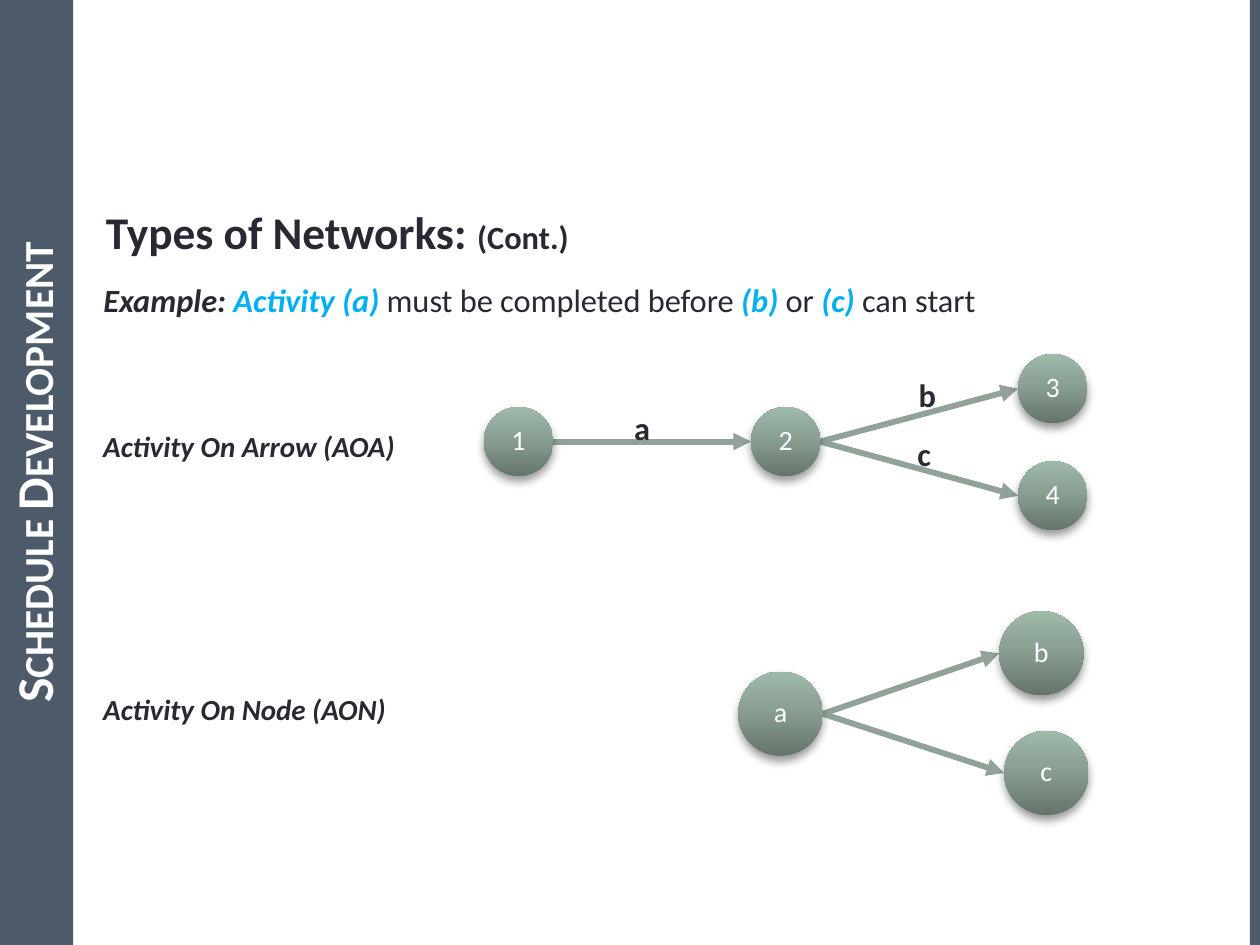
from typing import NamedTuple

from lxml.etree import SubElement
from pptx import Presentation
from pptx.dml.color import RGBColor
from pptx.enum.shapes import MSO_CONNECTOR as Connector, MSO_SHAPE as Shape
from pptx.enum.text import MSO_ANCHOR as Anchor, MSO_AUTO_SIZE as AutoSize, PP_ALIGN as Align
from pptx.oxml import parse_xml
from pptx.oxml.ns import nsdecls, qn
from pptx.util import Inches, Pt

FONT = "Calibri"
INK, WHITE, BAR, ACCENT, ARROW = "292934", "FFFFFF", "4C5A6A", "00B0F0", "93A299"
NODE_STOPS = [(0, "65756C"), (60, "8CA295"), (100, "9EBAA9")]


class Node(NamedTuple):
    label: str
    left: float
    top: float


class Network(NamedTuple):
    diameter: float
    nodes: list[Node]
    links: list[tuple[int, int]]


class Run(NamedTuple):
    text: str
    size: float
    color: str = INK
    bold: bool = True
    italic: bool = False


class TextBox(NamedTuple):
    left: float
    top: float
    width: float
    height: float
    runs: list[Run]
    wrap: bool = True


def row_label(top: float, text: str) -> TextBox:
    return TextBox(0.71, top, 3.37, 0.39, [Run(text, 16.6, italic=True)])


def arrow_label(left: float, top: float, text: str) -> TextBox:
    return TextBox(left, top, 0.35, 0.42, [Run(text, 18.5)], wrap=False)


NETWORKS = [
    Network(0.55,
            [Node("1", 3.84, 3.23), Node("2", 5.96, 3.23),
             Node("3", 8.08, 2.81), Node("4", 8.08, 3.66)],
            [(0, 1), (1, 2), (1, 3)]),
    Network(0.67,
            [Node("a", 5.86, 5.33), Node("b", 7.93, 4.85), Node("c", 7.97, 5.8)],
            [(0, 1), (0, 2)]),
]
TEXT_BOXES = [
    TextBox(0.73, 1.57, 9.11, 0.6,
            [Run("Types of Networks: ", 25.9), Run("(Cont.)", 18.5)]),
    TextBox(0.71, 2.17, 8.18, 0.42, [
        Run("Example: ", 18.5, italic=True),
        Run("Activity (a) ", 18.5, ACCENT, italic=True),
        Run("must be completed before", 18.5, bold=False),
        Run(" (b) ", 18.5, ACCENT, italic=True),
        Run("or ", 18.5, bold=False),
        Run("(c) ", 18.5, ACCENT, italic=True),
        Run("can start", 18.5, bold=False),
    ]),
    row_label(3.35, "Activity On Arrow (AOA)"),
    row_label(5.44, "Activity On Node (AON)"),
    arrow_label(4.92, 3.19, "a"),
    arrow_label(7.18, 2.93, "b"),
    arrow_label(7.16, 3.4, "c"),
]


def rgb(color: str) -> RGBColor:
    return RGBColor.from_string(color)


def style_font(font, size: float, color: str, bold: bool = False, italic: bool = False) -> None:
    font.name, font.size = FONT, Pt(size)
    font.bold, font.italic = bold, italic
    font.color.rgb = rgb(color)


def add_bar(slide, left: float, width: float) -> None:
    bar = slide.shapes.add_shape(Shape.RECTANGLE, Inches(left), 0, Inches(width), Inches(7.5))
    bar.shadow.inherit = False
    bar.fill.solid()
    bar.fill.fore_color.rgb = rgb(BAR)
    bar.line.fill.background()


def add_node(slide, node: Node, diameter: float) -> None:
    shape = slide.shapes.add_shape(Shape.OVAL, Inches(node.left), Inches(node.top),
                                   Inches(diameter), Inches(diameter))
    shape.line.fill.background()
    stops = "".join(f'<a:gs pos="{position * 1000}"><a:srgbClr val="{color}"/></a:gs>'
                    for position, color in NODE_STOPS)
    properties = shape.element.spPr
    properties.find(qn("a:prstGeom")).addnext(parse_xml(
        f'<a:gradFill {nsdecls("a")}><a:gsLst>{stops}</a:gsLst>'
        '<a:lin ang="16200000" scaled="0"/></a:gradFill>'))
    properties.append(parse_xml(
        f'<a:effectLst {nsdecls("a")}><a:outerShdw blurRad="{Pt(5.2)}" dist="{Pt(3)}" '
        'dir="5400000" rotWithShape="0"><a:srgbClr val="000000"><a:alpha val="40000"/>'
        '</a:srgbClr></a:outerShdw></a:effectLst>'))
    frame = shape.text_frame
    frame.margin_left = frame.margin_right = frame.margin_top = frame.margin_bottom = Inches(0.01)
    frame.vertical_anchor = Anchor.MIDDLE
    paragraph = frame.paragraphs[0]
    paragraph.text = node.label
    paragraph.alignment = Align.CENTER
    paragraph.line_spacing = 0.9
    style_font(paragraph.font, 16, WHITE)


def add_arrow(slide, start: Node, end: Node, diameter: float) -> None:
    """Link the right side of one node to the left side of another."""
    radius = diameter / 2
    arrow = slide.shapes.add_connector(
        Connector.STRAIGHT, Inches(start.left + diameter), Inches(start.top + radius),
        Inches(end.left), Inches(end.top + radius))
    arrow.line.color.rgb = rgb(ARROW)
    arrow.line.width = Pt(3.35)
    SubElement(arrow.line._get_or_add_ln(), qn("a:tailEnd"), type="triangle")
    SubElement(arrow._element.spPr, qn("a:effectLst"))


def add_text(slide, box: TextBox) -> None:
    shape = slide.shapes.add_textbox(Inches(box.left), Inches(box.top),
                                     Inches(box.width), Inches(box.height))
    frame = shape.text_frame
    frame.word_wrap = box.wrap
    frame.margin_left = frame.margin_right = Inches(0.11)
    paragraph = frame.paragraphs[0]
    paragraph.alignment = Align.LEFT if box.wrap else Align.CENTER
    for part in box.runs:
        run = paragraph.add_run()
        run.text = part.text
        style_font(run.font, part.size, part.color, part.bold, part.italic)


def set_side_title(slide, text: str) -> None:
    title = slide.shapes.title
    title.left, title.top = Inches(-3.46), Inches(3.47)
    title.width, title.height = Inches(7.5), Inches(0.56)
    title.rotation = 270
    frame = title.text_frame
    frame.auto_size = AutoSize.NONE
    frame.vertical_anchor = Anchor.MIDDLE
    paragraph = frame.paragraphs[0]
    run = paragraph.add_run()
    run.text = text
    paragraph.alignment = Align.CENTER
    paragraph.line_spacing = 0.9
    style_font(run.font, 29.5, WHITE, bold=True)
    run.font._element.set("cap", "small")
    # The title lies on top of the side bar.
    title.element.getparent().append(title.element)


def main() -> None:
    presentation = Presentation()
    presentation.slide_width, presentation.slide_height = Inches(10), Inches(7.5)
    slide = presentation.slides.add_slide(presentation.slide_layouts[5])
    add_bar(slide, 0, 0.58)
    add_bar(slide, 9.92, 0.08)
    for network in NETWORKS:
        for start, end in network.links:
            add_arrow(slide, network.nodes[start], network.nodes[end], network.diameter)
        for node in network.nodes:
            add_node(slide, node, network.diameter)
    for box in TEXT_BOXES:
        add_text(slide, box)
    set_side_title(slide, "Schedule Development")
    presentation.save("out.pptx")


if __name__ == "__main__":
    main()
